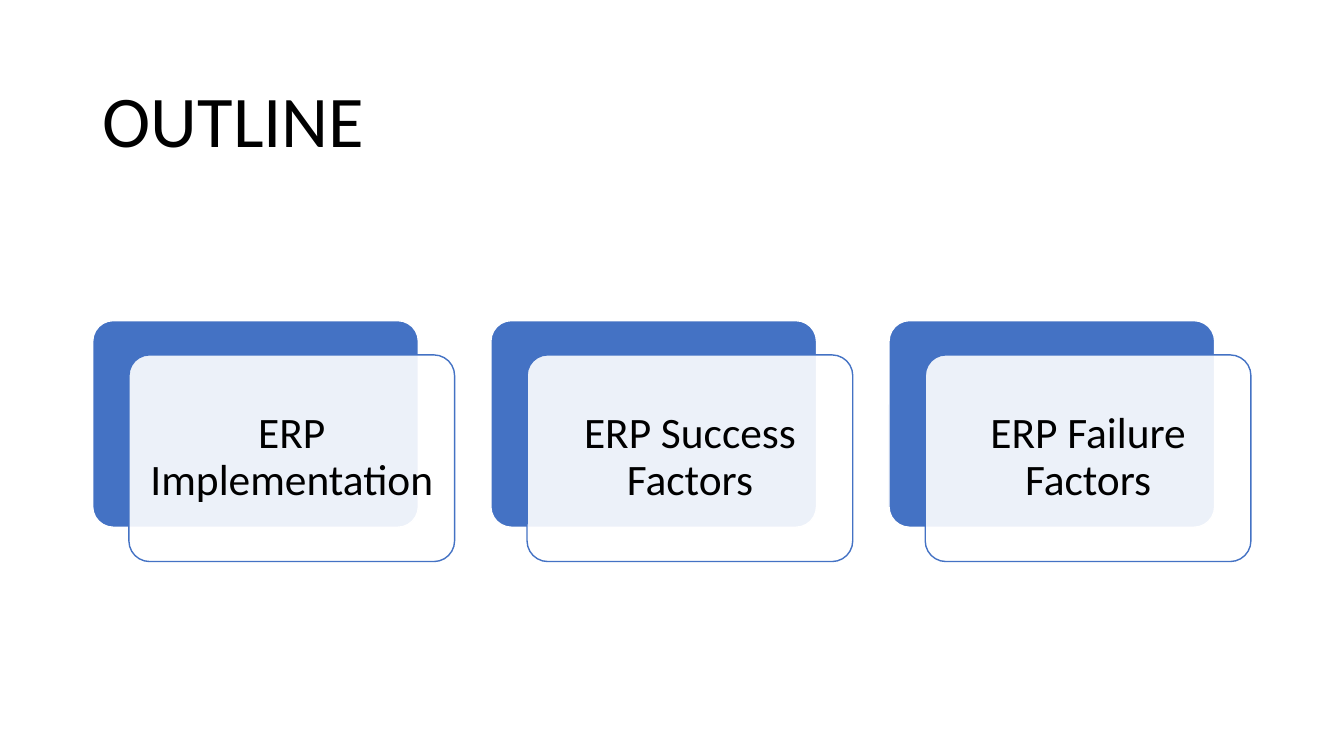
from lxml import etree
from pptx import Presentation
from pptx.dml.color import RGBColor
from pptx.enum.shapes import MSO_SHAPE
from pptx.enum.text import MSO_ANCHOR, PP_ALIGN
from pptx.oxml.ns import qn
from pptx.util import Pt

ROUNDED = MSO_SHAPE.ROUNDED_RECTANGLE
MIDDLE = MSO_ANCHOR.MIDDLE
LEFT, CENTER = PP_ALIGN.LEFT, PP_ALIGN.CENTER
TITLE_ONLY = 5

BLUE, WHITE, BLACK = "4472C4", "FFFFFF", "000000"
TOPICS = ["ERP Implementation", "ERP Success Factors", "ERP Failure Factors"]

# Card grid, in points
FIRST_LEFT, TOP, PITCH = 66.24, 229, 284.4
CARD_WIDTH, CARD_HEIGHT = 232.6, 147.6
SHIFT_X, SHIFT_Y = 25.9, 24.5


def color(hex_value):
    return RGBColor.from_string(hex_value)


def write_text(shape, text, size, align, inset_x, inset_y):
    frame = shape.text_frame
    frame_format = {
        "word_wrap": True, "vertical_anchor": MIDDLE,
        "margin_left": Pt(inset_x), "margin_right": Pt(inset_x),
        "margin_top": Pt(inset_y), "margin_bottom": Pt(inset_y),
    }
    for name, value in frame_format.items():
        setattr(frame, name, value)
    frame.text = text
    paragraph = frame.paragraphs[0]
    paragraph.alignment = align
    paragraph.line_spacing = 0.9
    font = paragraph.runs[0].font
    for name, value in {"name": "Calibri", "size": Pt(size)}.items():
        setattr(font, name, value)
    font.color.rgb = color(BLACK)


def add_card(slide, left, top, fill, line, opacity=100):
    card = slide.shapes.add_shape(
        ROUNDED, Pt(left), Pt(top), Pt(CARD_WIDTH), Pt(CARD_HEIGHT))
    card.adjustments[0] = 0.1
    card.shadow.inherit = False
    card.fill.solid()
    card.fill.fore_color.rgb = color(fill)
    card.line.color.rgb = color(line)
    card.line.width = Pt(1)
    if opacity < 100:
        fill_color = card.fill._xPr.find(qn("a:solidFill"))[0]
        etree.SubElement(fill_color, qn("a:alpha"), val=str(opacity * 1000))
    return card


def add_title(slide, text):
    title = slide.shapes.title
    place = {"left": 66.24, "top": 43.9, "width": 828, "height": 89.3}
    for name, value in place.items():
        setattr(title, name, Pt(value))
    write_text(title, text, 52, LEFT, 7.2, 3.6)


def add_topic(slide, index, topic):
    left = FIRST_LEFT + index * PITCH
    # Blue card behind, translucent labelled card in front
    add_card(slide, left, TOP, BLUE, WHITE)
    label = add_card(slide, left + SHIFT_X, TOP + SHIFT_Y, WHITE, BLUE, opacity=90)
    write_text(label, topic, 31, CENTER, 9.3, 9.3)


def main():
    presentation = Presentation()
    presentation.slide_width = Pt(960)
    presentation.slide_height = Pt(540)
    slide = presentation.slides.add_slide(presentation.slide_layouts[TITLE_ONLY])
    add_title(slide, "OUTLINE")
    for index, topic in enumerate(TOPICS):
        add_topic(slide, index, topic)
    presentation.save("out.pptx")


if __name__ == "__main__":
    main()
